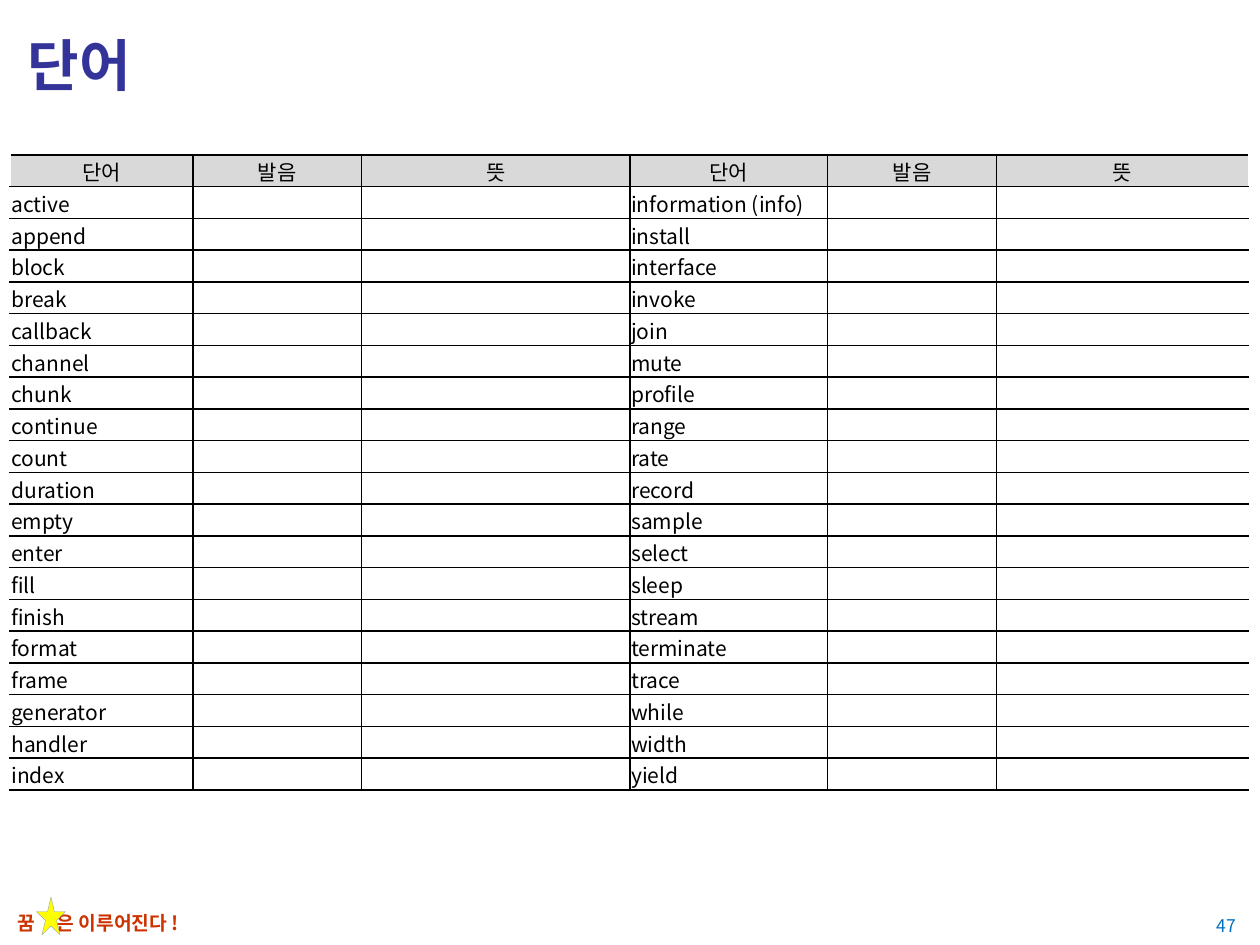
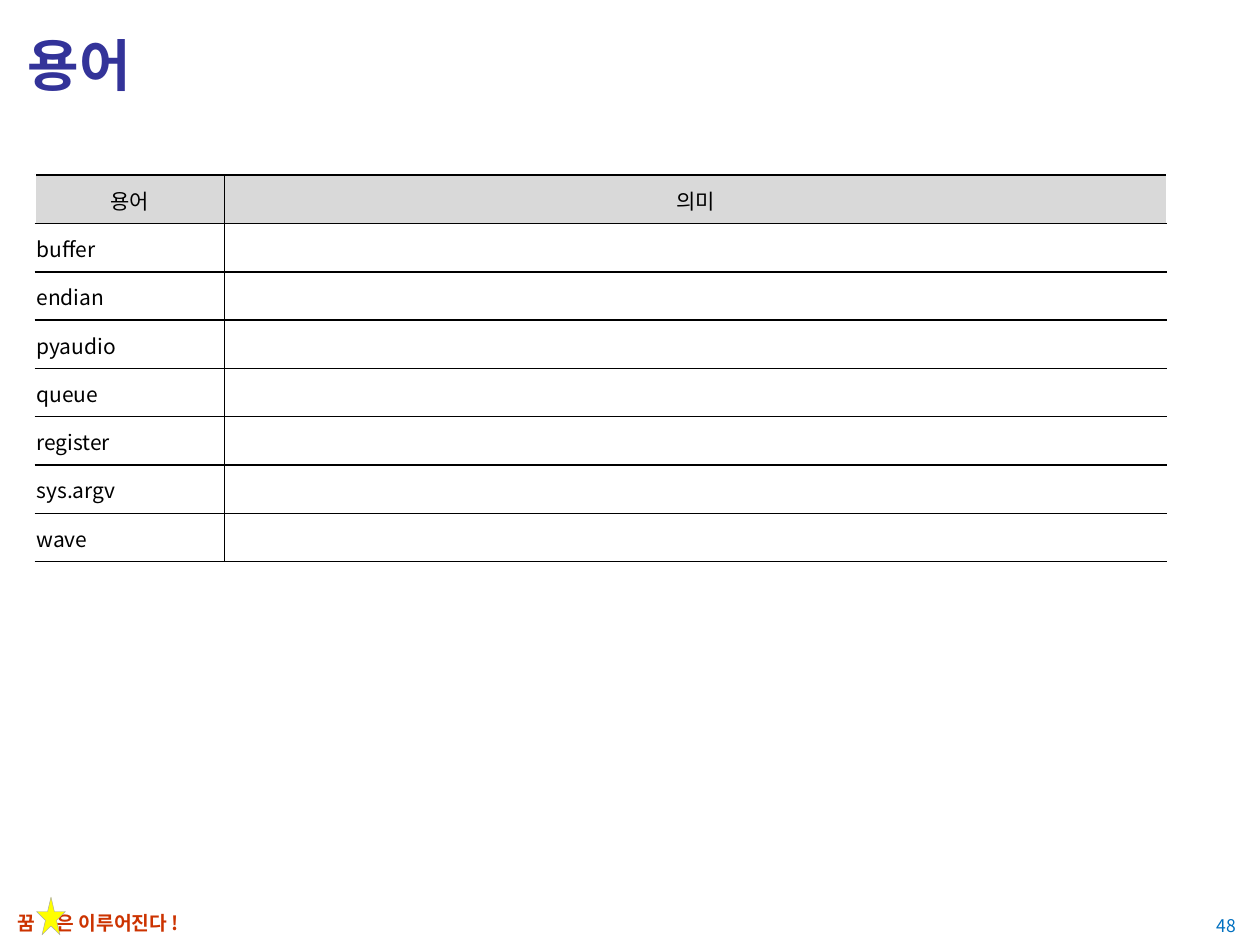
from lxml import etree
from pptx import Presentation
from pptx.dml.color import RGBColor
from pptx.enum.shapes import MSO_SHAPE
from pptx.enum.text import MSO_ANCHOR, PP_ALIGN
from pptx.oxml.ns import qn
from pptx.util import Inches, Pt

STAR = MSO_SHAPE.STAR_5_POINT
TOP, MID = MSO_ANCHOR.TOP, MSO_ANCHOR.MIDDLE
LEFT, MID_X, RIGHT = PP_ALIGN.LEFT, PP_ALIGN.CENTER, PP_ALIGN.RIGHT

WORDS = [
    ("active", "information (info)"), ("append", "install"),
    ("block", "interface"), ("break", "invoke"), ("callback", "join"),
    ("channel", "mute"), ("chunk", "profile"), ("continue", "range"),
    ("count", "rate"), ("duration", "record"), ("empty", "sample"),
    ("enter", "select"), ("fill", "sleep"), ("finish", "stream"),
    ("format", "terminate"), ("frame", "trace"), ("generator", "while"),
    ("handler", "width"), ("index", "yield"),
]
TERMS = ["buffer", "endian", "pyaudio", "queue", "register", "sys.argv", "wave"]

SLIDES = [
    {
        "title": "단어", "page": 47, "at": (0.08, 1.23), "tall": 5.04,
        "cols": [1.45, 1.34, 2.13, 1.57, 1.34, 2],
        "rows": [["단어", "발음", "뜻"] * 2]
        + [[a, "", "", b, "", ""] for a, b in WORDS],
    },
    {
        "title": "용어", "page": 48, "at": (0.28, 1.39), "tall": 3.07,
        "cols": [1.5, 7.48],
        "rows": [["용어", "의미"]] + [[term, ""] for term in TERMS],
    },
]
MOTTO = "꿈\t은 이루어진다 !"

THEME = {
    "font": "Noto Sans CJK KR",
    "title": {"size": 32, "color": "333399", "bold": True},
    "motto": {"size": 11, "color": "CC3300", "bold": True},
    "page": {"size": 10, "color": "0070C0", "bold": False},
    "cell": {"size": 12, "color": "000000", "bold": False},
    "head": "D9D9D9", "body": "FFFFFF", "rule": "000000", "edge": "FFFFFF",
    "star": "FFFF00", "rim": "A6A6A6",
}
CELL = {
    "vertical_anchor": MID, "margin_left": Inches(0.01),
    "margin_right": Inches(0.01), "margin_top": Inches(0.01),
    "margin_bottom": 0,
}


def put(item, vals):
    for key, val in vals.items():
        setattr(item, key, val)


def rgb(code):
    return RGBColor.from_string(code)


def node(root, tag, **vals):
    return etree.SubElement(root, qn(tag), **vals)


def write(para, text, look, align=LEFT):
    para.alignment = align
    style = THEME[look]
    if not text:
        node(para._p, "a:endParaRPr", sz=str(style["size"] * 100))
        return
    run = para.add_run()
    run.text = text
    put(run.font, {
        "name": THEME["font"], "size": Pt(style["size"]), "bold": style["bold"],
    })
    run.font.color.rgb = rgb(style["color"])
    node(run._r.get_or_add_rPr(), "a:ea", typeface=THEME["font"])


def label(slide, box, text, look, align=LEFT, anchor=MID):
    frame = slide.shapes.add_textbox(*map(Inches, box)).text_frame
    put(frame, {"word_wrap": True, "vertical_anchor": anchor})
    para = frame.paragraphs[0]
    if "\t" in text:
        tabs = node(para._p.get_or_add_pPr(), "a:tabLst")
        node(tabs, "a:tab", pos=str(Inches(0.31)), algn="l")
    write(para, text, look, align)


def rule(cell, side, color):
    line = node(cell._tc.get_or_add_tcPr(), "a:ln" + side, w=str(Pt(1)))
    node(node(line, "a:solidFill"), "a:srgbClr", val=color)


def grid(slide, data):
    rows, cols = data["rows"], data["cols"]
    box = (*data["at"], sum(cols), data["tall"])
    table = slide.shapes.add_table(
        len(rows), len(cols), *map(Inches, box)).table
    put(table, {"first_row": False, "horz_banding": False})
    for col, wide in zip(table.columns, cols):
        col.width = Inches(wide)
    for row in table.rows:
        row.height = Inches(data["tall"] / len(rows))
    last = len(cols) - 1
    for y, row in enumerate(rows):
        for x, text in enumerate(row):
            cell = table.cell(y, x)
            put(cell, CELL)
            rule(cell, "L", THEME["edge" if x == 0 else "rule"])
            rule(cell, "R", THEME["edge" if x == last else "rule"])
            for side in "TB":
                rule(cell, side, THEME["rule"])
            cell.fill.solid()
            cell.fill.fore_color.rgb = rgb(THEME["body" if y else "head"])
            write(cell.text_frame.paragraphs[0], text, "cell",
                  LEFT if y else MID_X)


def foot(slide, page):
    label(slide, (0.04, 7.18, 5.23, 0.28), MOTTO, "motto", anchor=TOP)
    star = slide.shapes.add_shape(STAR, *map(Inches, (0.29, 7.12, 0.23, 0.3)))
    star.shadow.inherit = False
    star.fill.solid()
    star.fill.fore_color.rgb = rgb(THEME["star"])
    star.line.color.rgb = rgb(THEME["rim"])
    star.line.width = Pt(0.25)
    label(slide, (9.33, 7.17, 0.58, 0.35), str(page), "page", RIGHT)


def main():
    deck = Presentation()
    put(deck, {"slide_width": Inches(10), "slide_height": Inches(7.5)})
    for data in SLIDES:
        slide = deck.slides.add_slide(deck.slide_layouts[6])
        foot(slide, data["page"])
        label(slide, (0.12, 0.1, 9.76, 0.82), data["title"], "title")
        grid(slide, data)
    deck.save("out.pptx")


if __name__ == "__main__":
    main()
